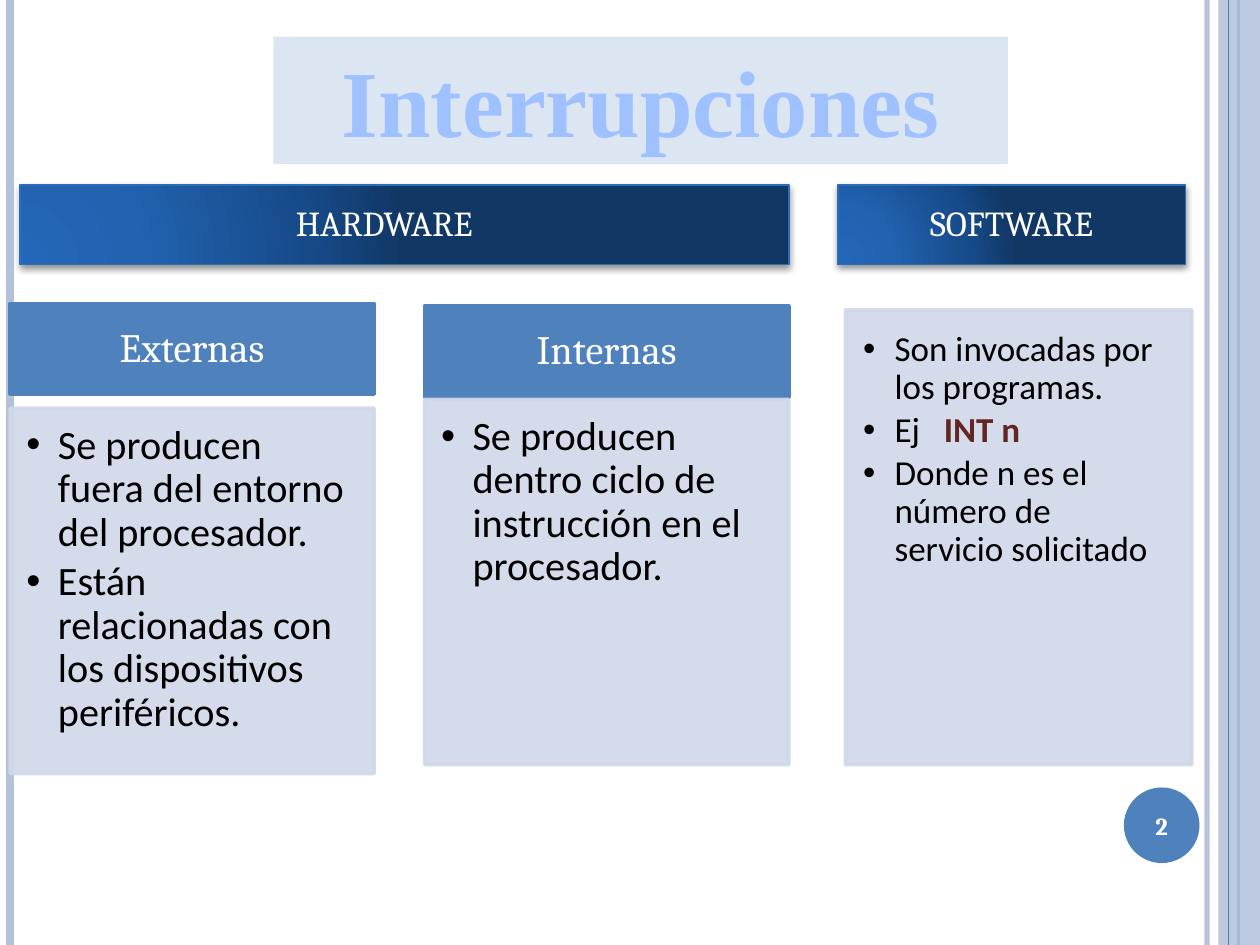
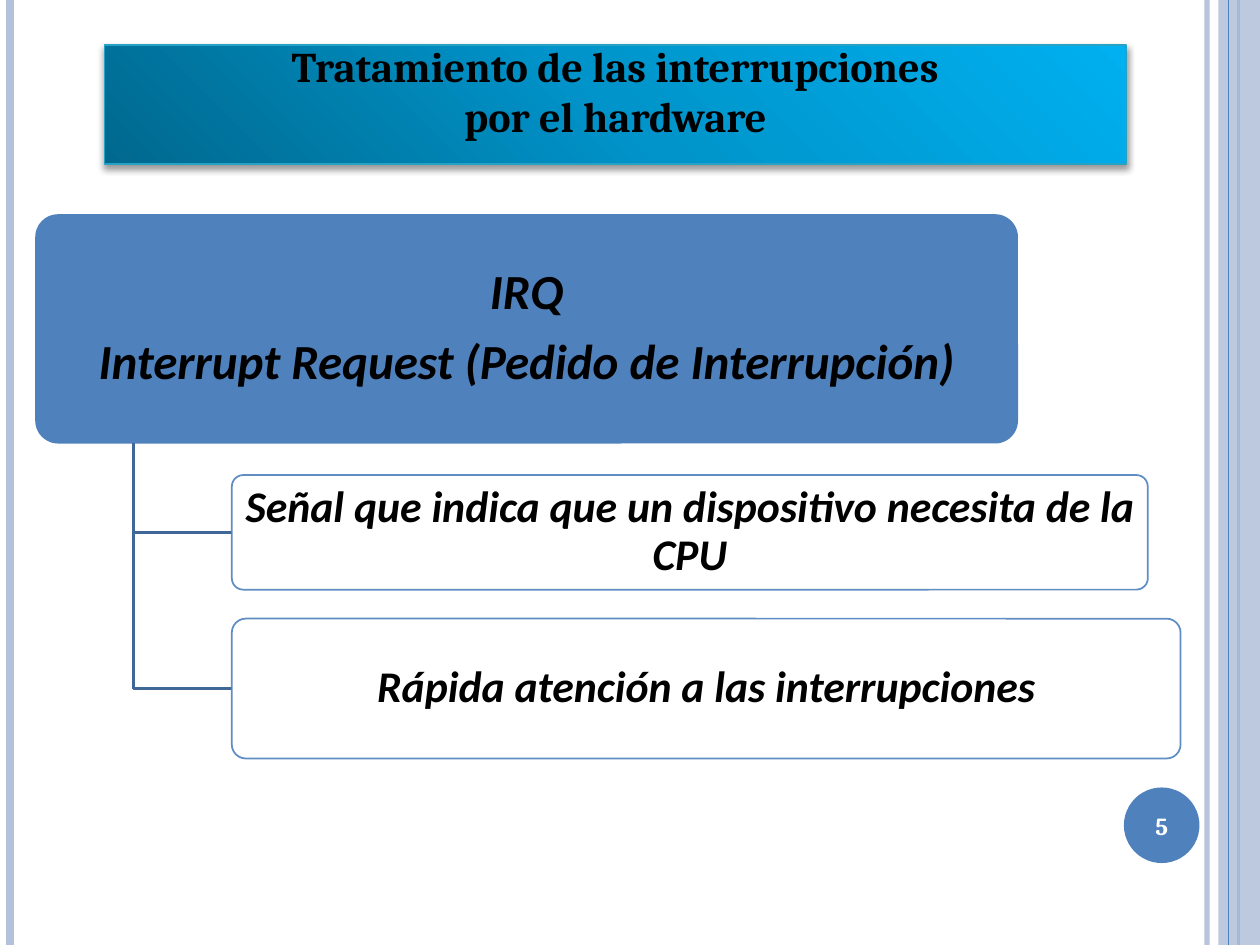
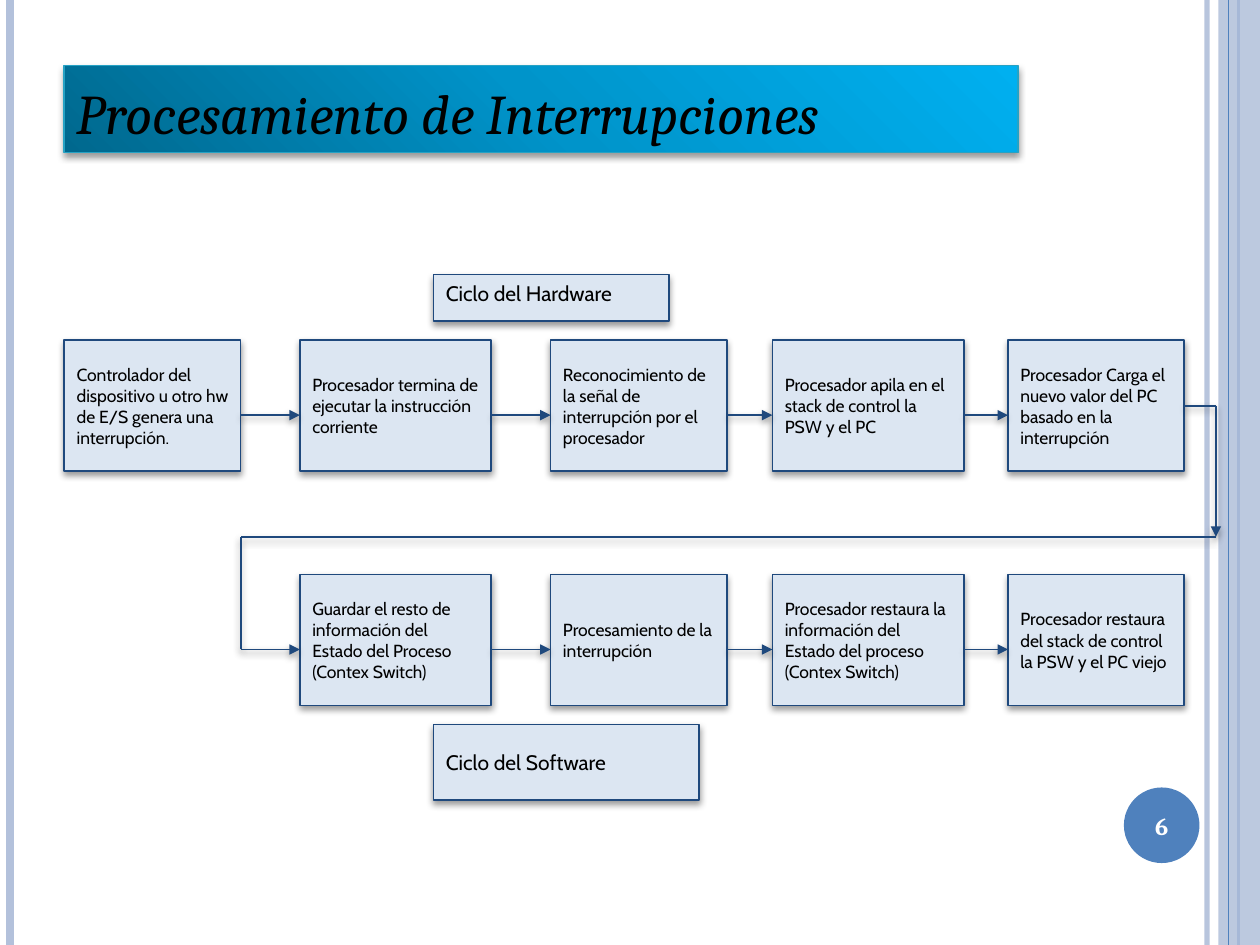
from dataclasses import dataclass, replace
from itertools import pairwise
from typing import Any, NamedTuple

import lxml.etree
import pptx
import pptx.dml.color
import pptx.enum.shapes
import pptx.enum.text
import pptx.oxml.ns
import pptx.util

COLS, ROWS = 100, 75
CELL = pptx.util.Inches(10) // COLS
FORM = pptx.enum.shapes.MSO_SHAPE
ALIGN = pptx.enum.text.PP_ALIGN
ANCHOR = pptx.enum.text.MSO_ANCHOR
qn = pptx.oxml.ns.qn


class Box(NamedTuple):
    """A place on the grid, in columns and rows."""
    x: float
    y: float
    w: float
    h: float


class Point(NamedTuple):
    x: float
    y: float


class Shade(NamedTuple):
    alpha: int
    blur: float
    dist: float


class Grad(NamedTuple):
    stops: dict[int, str]
    focus: dict[str, int]


@dataclass(frozen=True)
class Look:
    fill: str | None = None
    alpha: int = 100
    line: str | None = None
    width: float = 1
    grad: Grad | None = None
    shade: Shade | None = None


@dataclass(frozen=True)
class Style:
    size: float
    face: str
    color: str = "000000"
    bold: bool = False
    italic: bool = False
    align: Any = ALIGN.LEFT
    anchor: Any = ANCHOR.MIDDLE
    pads: tuple[float, float, float, float] = (1, 0.5, 1, 0.5)
    lead: float = 1
    after: float = 0
    bullet: bool = False
    tab: float = 0


class Run(NamedTuple):
    text: str
    color: str
    bold: bool


class Block(NamedTuple):
    box: Box
    look: Look
    style: Style | None = None
    paras: tuple = ()
    form: Any = FORM.RECTANGLE


class Theme:
    blue, mist, pale, ice, navy = "4F81BD", "B3C1DB", "D0D8E8", "DCE6F2", "1F497D"
    white, maroon, sky = "FFFFFF", "632523", "A0C1FF"
    serif, sans, flow = "Cambria", "Calibri", "Cabin"

    soft = Shade(40, 4, 2)
    deep = Grad({0: "2367B8", 30: "2263B1", 75: "164A88", 100: "113765"},
                {"l": 5, "t": 100, "r": 120, "b": 10})
    cyan = Grad({0: "00688E", 50: "0094CA", 100: "00B0F0"},
                {"l": 0, "t": 100, "r": 100, "b": 0})

    solid = Look(blue)
    head = Look(blue, line=blue, width=2)
    card = Look(pale, 90, pale, 2)
    group = Look(line="2C6CB9", grad=deep, shade=Shade(42, 4, 1.6))
    banner = Look(line="26A2C4", grad=cyan, shade=soft)
    plain = Look(ice)
    leaf = Look(white, 90, blue)
    step = Look(ice, line=navy, shade=soft)
    arrow = Look(line=navy, shade=soft)
    elbow = Look(line="3F6797", width=2)

    number = Style(14, serif, white, bold=True, align=ALIGN.CENTER, pads=(0, 0, 0, 0))
    label = Style(23, serif, white, align=ALIGN.CENTER, lead=0.9, pads=(1.8, 1, 1.8, 1))
    kind = replace(label, size=20)
    notes = Style(23, sans, anchor=ANCHOR.TOP, lead=0.9, after=3.5, bullet=True,
                  pads=(1.3, 1.3, 1.8, 2))
    root = Style(28, sans, bold=True, italic=True, align=ALIGN.CENTER, lead=0.9,
                 after=9.8, pads=(1.1, 1, 1.1, 1))
    point = replace(root, size=25, pads=(0.75, 0.5, 0.75, 0.5))
    task = Style(10, flow)
    cycle = Style(12, flow)
    top = Style(54, "Times New Roman", sky, bold=True, align=ALIGN.CENTER,
                anchor=ANCHOR.TOP)
    mid = Style(24.1, serif, bold=True, align=ALIGN.CENTER, anchor=ANCHOR.BOTTOM,
                pads=(1, 0, 1, 1.8))
    slant = Style(32, serif, italic=True, anchor=ANCHOR.BOTTOM)


def grid(value: float) -> int:
    return round(value * CELL)


def tint(code: str) -> Any:
    return pptx.dml.color.RGBColor.from_string(code)


def assign(item: Any, values: dict[str, Any]) -> None:
    for name, value in values.items():
        setattr(item, name, value)


def sub(parent: Any, tag: str, **attrs: Any) -> Any:
    """Append a DrawingML child with the given attributes."""
    return lxml.etree.SubElement(parent, qn(f"a:{tag}"),
                                 {name: str(value) for name, value in attrs.items()})


def blend(props: Any, grad: Grad) -> None:
    """Swap the empty fill of a shape for a round gradient."""
    fill = lxml.etree.Element(qn("a:gradFill"), rotWithShape="1")
    stops = sub(fill, "gsLst")
    for place, code in grad.stops.items():
        sub(sub(stops, "gs", pos=place * 1000), "srgbClr", val=code)
    way = sub(fill, "path", path="circle")
    sub(way, "fillToRect", **{side: share * 1000 for side, share in grad.focus.items()})
    props.replace(props.find(qn("a:noFill")), fill)


def dress(shape: Any, look: Look) -> None:
    """Give a shape or connector its fill, line and shadow."""
    props = shape.element.spPr
    if hasattr(shape, "fill"):
        if look.fill:
            shape.fill.solid()
            shape.fill.fore_color.rgb = tint(look.fill)
        else:
            shape.fill.background()
        if look.grad:
            blend(props, look.grad)
    if look.line:
        shape.line.color.rgb = tint(look.line)
        shape.line.width = pptx.util.Pt(look.width)
    else:
        shape.line.fill.background()
    if look.alpha < 100:
        for code in props.iter(qn("a:srgbClr")):
            sub(code, "alpha", val=look.alpha * 1000)
    effect = sub(props, "effectLst")
    if look.shade:
        cast = sub(effect, "outerShdw", blurRad=pptx.util.Pt(look.shade.blur),
                   dist=pptx.util.Pt(look.shade.dist), dir=5400000, rotWithShape=0)
        sub(sub(cast, "srgbClr", val="000000"), "alpha", val=look.shade.alpha * 1000)


def write(frame: Any, paras: tuple, style: Style) -> None:
    sides = ("margin_left", "margin_top", "margin_right", "margin_bottom")
    assign(frame, dict(zip(sides, map(grid, style.pads))))
    assign(frame, {"word_wrap": True, "vertical_anchor": style.anchor,
                   "auto_size": pptx.enum.text.MSO_AUTO_SIZE.NONE})
    for index, runs in enumerate(paras):
        para = frame.add_paragraph() if index else frame.paragraphs[0]
        if style.bullet:
            props = para._p.get_or_add_pPr()
            props.set("marL", str(grid(2.5)))
            props.set("indent", str(grid(-2.5)))
            sub(props, "buFont", typeface="Arial")
            sub(props, "buChar", char="•")
            if style.tab:
                sub(sub(props, "tabLst"), "tab", pos=grid(style.tab), algn="l")
        assign(para, {"alignment": style.align, "line_spacing": style.lead,
                      "space_before": pptx.util.Pt(0),
                      "space_after": pptx.util.Pt(style.after)})
        for part in (runs,) if isinstance(runs, str) else runs:
            if isinstance(part, str):
                part = Run(part, style.color, style.bold)
            run = para.add_run()
            run.text = part.text
            assign(run.font, {"size": pptx.util.Pt(style.size), "name": style.face,
                              "bold": part.bold, "italic": style.italic})
            run.font.color.rgb = tint(part.color)


def place(slide: Any, block: Block) -> None:
    shape = slide.shapes.add_shape(block.form, *map(grid, block.box))
    if block.form == FORM.ROUNDED_RECTANGLE:
        shape.adjustments[0] = 0.1
    dress(shape, block.look)
    if block.style:
        write(shape.text_frame, block.paras, block.style)


def join(slide: Any, start: Point, end: Point, look: Look, arrow: bool = False) -> None:
    line = slide.shapes.add_connector(pptx.enum.shapes.MSO_CONNECTOR.STRAIGHT,
                                      *map(grid, (*start, *end)))
    dress(line, look)
    if arrow:
        sub(line.line._get_or_add_ln(), "tailEnd", type="triangle")


def bend(slide: Any, start: Point, end: Point) -> None:
    """Draw a line that goes down, then right."""
    path = slide.shapes.build_freeform(*map(grid, start))
    path.add_line_segments([(grid(start.x), grid(end.y)), tuple(map(grid, end))],
                           close=False)
    dress(path.convert_to_shape(), Theme.elbow)


def begin(deck: Any, number: int, title: Block) -> Any:
    """Add a slide with its title, side rules and number badge."""
    slide = deck.slides.add_slide(deck.slide_layouts[5])
    head = slide.shapes.title
    assign(head, dict(zip(("left", "top", "width", "height"), map(grid, title.box))))
    dress(head, title.look)
    write(head.text_frame, title.paras, title.style)

    def rule(x: float, look: Look) -> None:
        join(slide, Point(x, 0), Point(x, ROWS), look)

    rule(95.8, Look(alpha=93, line=Theme.mist, width=3))
    rule(0.8, Look(line=Theme.mist, width=4.5))
    rule(98.3, Look(line=Theme.blue, width=1.5))
    place(slide, Block(Box(96.7, 0, COLS - 96.7, ROWS), Look(Theme.mist, 87)))
    rule(97.5, Look(line=Theme.blue, width=0.75))
    place(slide, Block(Box(89.2, 62.5, 6, 6), Theme.solid, Theme.number,
                       (str(number),), FORM.OVAL))
    return slide


def kinds(deck: Any) -> None:
    slide = begin(deck, 2, Block(Box(21.7, 2.9, 58.3, 10.1), Theme.plain, Theme.top,
                                 ("Interrupciones",)))
    outer = ("Se producen fuera del entorno del procesador.",
             "Están relacionadas con los dispositivos periféricos.")
    inner = (("Se producen dentro ciclo de instrucción en el procesado",
              "r."),)
    soft = ("Son invocadas por los programas.",
            ("Ej\t", Run("INT n", Theme.maroon, True)),
            "Donde n es el número de servicio solicitado")
    side = replace(Theme.notes, size=20, after=3, pads=(1.4, 1.7, 2.4, 1.7), tab=6.4)
    shift = replace(Theme.kind, pads=(1.6, 0.9, 4.8, 0.9))
    for x, y, name, top, paras in ((0.8, 24.1, "Externas", 32.4, outer),
                                   (33.7, 24.3, "Internas", 31.7, inner)):
        place(slide, Block(Box(x, y, 28.9, 7.2), Theme.head, Theme.label, (name,)))
        place(slide, Block(Box(x, top, 28.9, 29), Theme.card, Theme.notes, paras))
    place(slide, Block(Box(66.5, 14.7, 27.6, 6.3), Theme.group, Theme.kind,
                       ("SOFTWARE",)))
    place(slide, Block(Box(67.1, 24.6, 27.5, 36.1), Theme.card, side, soft))
    place(slide, Block(Box(1.6, 14.7, 61, 6.3), Theme.group, shift, ("HARDWARE",)))


def request(deck: Any) -> None:
    slide = begin(deck, 5, Block(Box(8.3, 3.6, 81.1, 9.4), Theme.banner, Theme.mid,
                                 ("Tratamiento de las interrupciones",
                                  "por el hardware")))
    root = Box(2.8, 17, 78, 18.2)
    place(slide, Block(root, Theme.solid, Theme.root,
                       ("IRQ", "Interrupt Request (Pedido de Interrupción)"),
                       FORM.ROUNDED_RECTANGLE))
    stem = Point(root.x + root.w / 10, root.y + root.h)
    for box, text in (
            (Box(18.4, 37.7, 72.7, 9.1),
             "Señal que indica que un dispositivo necesita de la CPU"),
            (Box(18.4, 49.1, 75.3, 11.1), "Rápida atención a las interrupciones")):
        bend(slide, stem, Point(box.x, box.y + box.h / 2))
        place(slide, Block(box, Theme.leaf, Theme.point, (text,),
                           FORM.ROUNDED_RECTANGLE))


def process(deck: Any) -> None:
    slide = begin(deck, 6, Block(Box(5.1, 5.2, 75.7, 6.9), Theme.banner, Theme.slant,
                                 ("Procesamiento de Interrupciones",)))
    spans = [(5.1, 14), (23.8, 15.2), (43.7, 14), (61.3, 15.2), (80, 14)]
    tall, axis, upper, lower = 10.4, 5.95, 27, 45.6
    hard = (("Controlador del dispositivo u otro hw de E/S genera una interrupción.",),
            ("Procesador termina de ejecutar la instrucción corriente",),
            ("Reconocimiento de la señal de interrupción por el procesador",),
            ("Procesador apila en el stack de control la PSW y el PC",),
            ("Procesador Carga el nuevo valor del PC basado en la interrupción",))
    soft = (("Guardar el resto de información del Estado del Proceso (Contex Switch)",),
            ("Procesamiento de la interrupción",),
            ("Procesador restaura la información del Estado del proceso",
             "(Contex Switch)"),
            ("Procesador restaura del stack de control la PSW y el PC viejo",))
    for y, tasks in ((upper, hard), (lower, soft)):
        for (x, wide), paras in zip(spans[-len(tasks):], tasks):
            place(slide, Block(Box(x, y, wide, tall), Theme.step, Theme.task, paras))
        for (x, wide), (end, _) in pairwise(spans):
            join(slide, Point(x + wide, y + axis), Point(end, y + axis),
                 Theme.arrow, arrow=True)
    place(slide, Block(Box(34.4, 21.8, 18.7, 3.7), Theme.step,
                       replace(Theme.cycle, anchor=ANCHOR.TOP), ("Ciclo del Hardware",)))
    place(slide, Block(Box(34.4, 57.5, 21.1, 6), Theme.step, Theme.cycle,
                       ("Ciclo del Software",)))
    left, right, lane, exit = sum(spans[0]), 96.5, 42.6, 32.2
    turns = (Point(sum(spans[-1]), exit), Point(right, exit), Point(right, lane),
             Point(left, lane), Point(left, lower + axis))
    for index, (start, end) in enumerate(pairwise(turns)):
        join(slide, start, end, Theme.arrow, arrow=index == 1)


def main() -> None:
    deck = pptx.Presentation()
    assign(deck, {"slide_width": COLS * CELL, "slide_height": ROWS * CELL})
    for build in (kinds, request, process):
        build(deck)
    deck.save("out.pptx")


if __name__ == "__main__":
    main()
